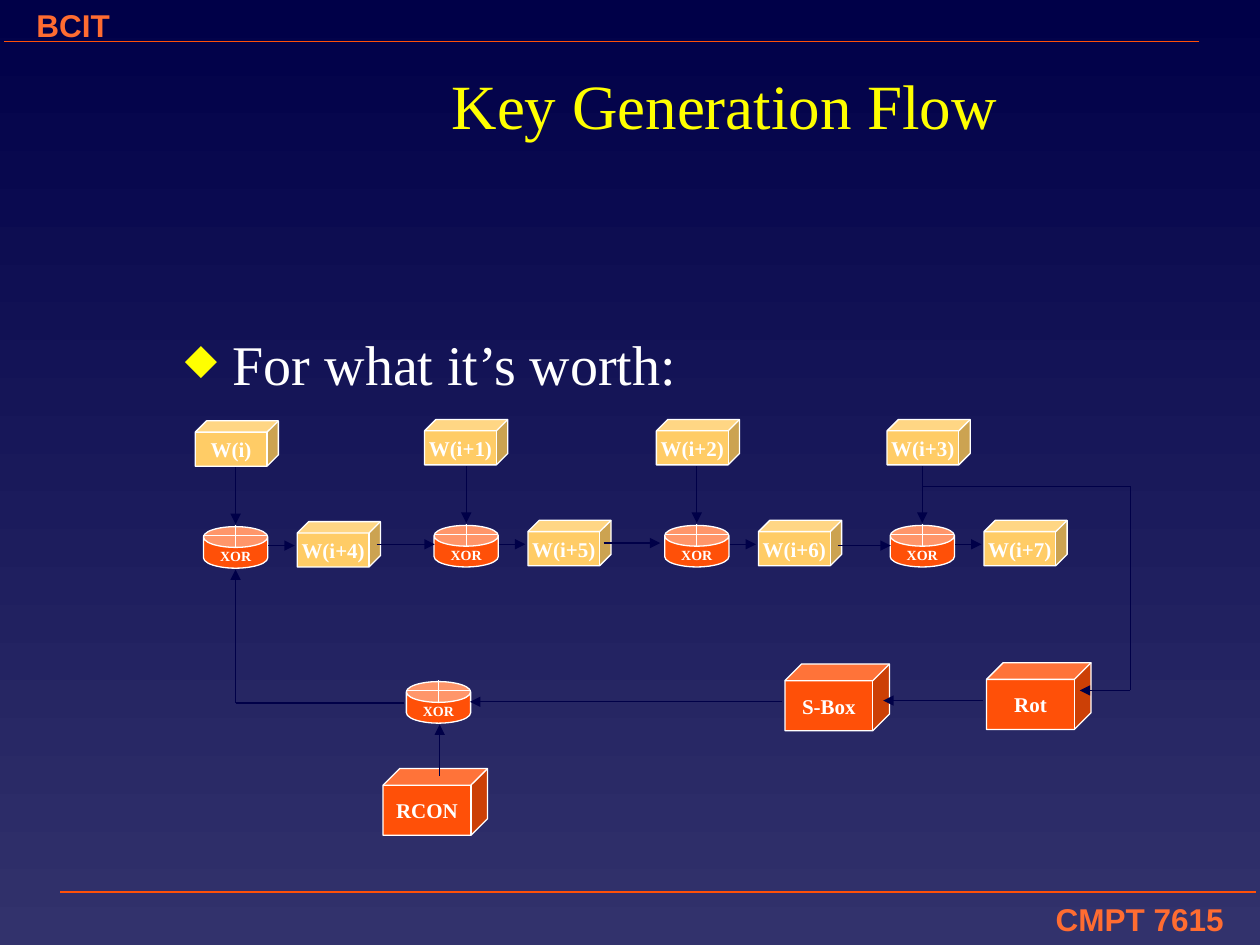
from dataclasses import dataclass
from typing import NamedTuple, Optional

from lxml.etree import SubElement
from pptx import Presentation
from pptx.dml.color import RGBColor
from pptx.enum.shapes import MSO_CONNECTOR as Connector, MSO_SHAPE as Preset
from pptx.enum.text import MSO_ANCHOR as Anchor, PP_ALIGN as Align
from pptx.oxml.ns import qn
from pptx.util import Emu, Inches, Pt

COLUMNS, ROWS = 100, 75
SLIDE_WIDTH, SLIDE_HEIGHT = Inches(10), Inches(7.5)


@dataclass(frozen=True)
class Theme:
    sky: str = "000048"
    horizon: str = "32326C"
    title: str = "FFFF00"
    text: str = "FFFFFF"
    brand: str = "FF6C31"
    process: str = "FF5008"
    word: str = "FFCC66"
    serif: str = "Times New Roman"
    sans: str = "Arial"
    title_size: int = 36
    body_size: int = 32
    brand_size: int = 18
    label_size: int = 12
    xor_size: int = 8
    thin: float = 0.75
    rule: float = 1


THEME = Theme()


class Box(NamedTuple):
    """An area in grid columns and rows."""
    left: float
    top: float
    width: float
    height: float


class Style(NamedTuple):
    size: int
    color: str = THEME.text
    font: str = THEME.serif
    bold: bool = False
    align: Align = Align.LEFT
    anchor: Anchor = Anchor.TOP
    wrap: bool = True


class Cube(NamedTuple):
    label: str
    box: Box
    color: str


class Arrow(NamedTuple):
    start: tuple
    end: tuple
    head: bool = True


class Stage(NamedTuple):
    """One XOR step, with its input word above and output word at its right."""
    axis: float
    drop: float
    input_offset: float
    input_label: str
    output_label: str


TITLE = Style(THEME.title_size, THEME.title, align=Align.CENTER, anchor=Anchor.MIDDLE)
BODY = Style(THEME.body_size)
HEADER = Style(THEME.brand_size, THEME.brand, THEME.sans, True)
FOOTER = HEADER._replace(align=Align.RIGHT)
LABEL = Style(THEME.label_size, bold=True, align=Align.CENTER,
              anchor=Anchor.MIDDLE, wrap=False)
XOR_LABEL = LABEL._replace(size=THEME.xor_size, anchor=Anchor.TOP)

WORD_SIZE = (6.6, 3.6)
PROCESS_SIZE = (8.3, 5.3)
XOR_SIZE = (5.1, 3.3)
STAGES = [
    Stage(18.7, 0.1, -3.2, "W(i)", "W(i+4)"),
    Stage(37.0, 0, -3.3, "W(i+1)", "W(i+5)"),
    Stage(55.3, 0, -3.2, "W(i+2)", "W(i+6)"),
    Stage(73.2, 0, -2.8, "W(i+3)", "W(i+7)"),
]
PROCESSES = [
    Cube("Rot", Box(78.3, 52.6, *PROCESS_SIZE), THEME.process),
    Cube("S-Box", Box(62.3, 52.7, *PROCESS_SIZE), THEME.process),
    Cube("RCON", Box(30.4, 61, *PROCESS_SIZE), THEME.process),
]
LINKS = [
    Arrow((29.9, 43.2), (34.5, 43.2)),
    Arrow((47.9, 43.1), (52.4, 43.1)),
    Arrow((66.5, 43.3), (70.7, 43.3)),
    Arrow((73.2, 38.6), (89.7, 38.6), False),
    Arrow((89.7, 38.6), (89.7, 54.8), False),
    Arrow((89.7, 54.8), (85.7, 54.8)),
    Arrow((78, 55.6), (70.1, 55.6)),
    Arrow((62.1, 55.7), (37.3, 55.7)),
    Arrow((34.9, 61.6), (34.9, 57.5)),
    Arrow((32.1, 55.8), (18.7, 55.8), False),
    Arrow((18.7, 55.8), (18.7, 45.2)),
]


def across(columns: float) -> Emu:
    return Emu(round(SLIDE_WIDTH * columns / COLUMNS))


def down(rows: float) -> Emu:
    return Emu(round(SLIDE_HEIGHT * rows / ROWS))


def place(box: Box) -> tuple:
    return across(box.left), down(box.top), across(box.width), down(box.height)


def set_all(target, values: dict) -> None:
    for name, value in values.items():
        setattr(target, name, value)


def write(shape, text: str, style: Style, bullet: Optional[str] = None) -> None:
    frame = shape.text_frame
    set_all(frame, {"text": text, "word_wrap": style.wrap,
                    "vertical_anchor": style.anchor})
    paragraph = frame.paragraphs[0]
    paragraph.alignment = style.align
    if bullet:
        add_bullet(paragraph, bullet)
    font = paragraph.runs[0].font
    set_all(font, {"size": Pt(style.size), "name": style.font, "bold": style.bold})
    font.color.rgb = RGBColor.from_string(style.color)


def add_bullet(paragraph, character: str) -> None:
    properties = paragraph._p.get_or_add_pPr()
    indent = across(3.8)
    properties.set("marL", str(indent))
    properties.set("indent", str(-indent))
    color = SubElement(properties, qn("a:buClr"))
    SubElement(color, qn("a:srgbClr"), val=THEME.title)
    SubElement(properties, qn("a:buSzPct"), val="75000")
    SubElement(properties, qn("a:buChar"), char=character)


def add_text(slide, text: str, box: Box, style: Style,
             bullet: Optional[str] = None) -> None:
    write(slide.shapes.add_textbox(*place(box)), text, style, bullet)


def add_line(slide, arrow: Arrow, color: str, width: float = THEME.thin) -> None:
    (x1, y1), (x2, y2) = arrow.start, arrow.end
    connector = slide.shapes.add_connector(
        Connector.STRAIGHT, across(x1), down(y1), across(x2), down(y2))
    connector.line.color.rgb = RGBColor.from_string(color)
    connector.line.width = Pt(width)
    if arrow.head:
        SubElement(connector.line._get_or_add_ln(), qn("a:tailEnd"), type="triangle")
    SubElement(connector._element.spPr, qn("a:effectLst"))


def add_solid(slide, preset: Preset, box: Box, color: str, adjustment: float):
    shape = slide.shapes.add_shape(preset, *place(box))
    shape.shadow.inherit = False
    shape.adjustments[0] = adjustment
    shape.fill.solid()
    shape.fill.fore_color.rgb = RGBColor.from_string(color)
    shape.line.color.rgb = RGBColor.from_string(THEME.text)
    shape.line.width = Pt(THEME.thin)
    return shape


def add_cube(slide, cube: Cube) -> None:
    write(add_solid(slide, Preset.CUBE, cube.box, cube.color, 0.25), cube.label, LABEL)


def add_xor(slide, axis: float, top: float) -> None:
    """A can with a cross on its lid, centred on the axis."""
    width, height = XOR_SIZE
    left = axis - width / 2
    add_solid(slide, Preset.CAN, Box(left, top, width, height), THEME.process, 0.5)
    add_line(slide, Arrow((left, top + 0.7), (left + width, top + 0.7), False), THEME.text)
    add_line(slide, Arrow((axis, top - 0.1), (axis, top + 1.6), False), THEME.text)
    add_text(slide, "XOR", Box(axis - 2.25, top + 1.2, 4.5, 2.4), XOR_LABEL)


def add_stage(slide, stage: Stage) -> None:
    axis, drop = stage.axis, stage.drop
    add_cube(slide, Cube(stage.input_label, Box(
        axis + stage.input_offset, 33.3 + drop, *WORD_SIZE), THEME.word))
    add_xor(slide, axis, 41.7 + drop)
    add_cube(slide, Cube(stage.output_label, Box(
        axis + 4.9, 41.3 + drop, *WORD_SIZE), THEME.word))
    add_line(slide, Arrow((axis, 37 + drop), (axis, 41.5 + drop)), THEME.sky)
    add_line(slide, Arrow((axis + 2.6, 43.2 + drop), (axis + 4.7, 43.2 + drop)), THEME.sky)


def paint_background(slide) -> None:
    fill = slide.background.fill
    fill.gradient()
    fill.gradient_angle = 270
    for stop, color in zip(fill.gradient_stops, (THEME.sky, THEME.horizon)):
        stop.color.rgb = RGBColor.from_string(color)


def main() -> None:
    presentation = Presentation()
    set_all(presentation, {"slide_width": SLIDE_WIDTH, "slide_height": SLIDE_HEIGHT})
    slide = presentation.slides.add_slide(presentation.slide_layouts[6])
    paint_background(slide)
    add_text(slide, "CMPT 7615", Box(53, 70.9, 45.1, 4), FOOTER)
    add_text(slide, "BCIT", Box(1.9, 0, 45.1, 4), HEADER)
    for left, right, row in ((4.8, 99.7, 70.8), (0.3, 95.2, 3.3)):
        add_line(slide, Arrow((right, row), (left, row), False), THEME.process, THEME.rule)
    add_text(slide, "Key Generation Flow", Box(15, 2, 85, 12.5), TITLE)
    add_text(slide, "For what it’s worth:", Box(13.7, 25.7, 70.6, 7.4), BODY, "◆")
    for stage in STAGES:
        add_stage(slide, stage)
    add_xor(slide, 34.8, 54.1)
    for process in PROCESSES:
        add_cube(slide, process)
    for link in LINKS:
        add_line(slide, link, THEME.sky)
    presentation.save("out.pptx")


if __name__ == "__main__":
    main()
